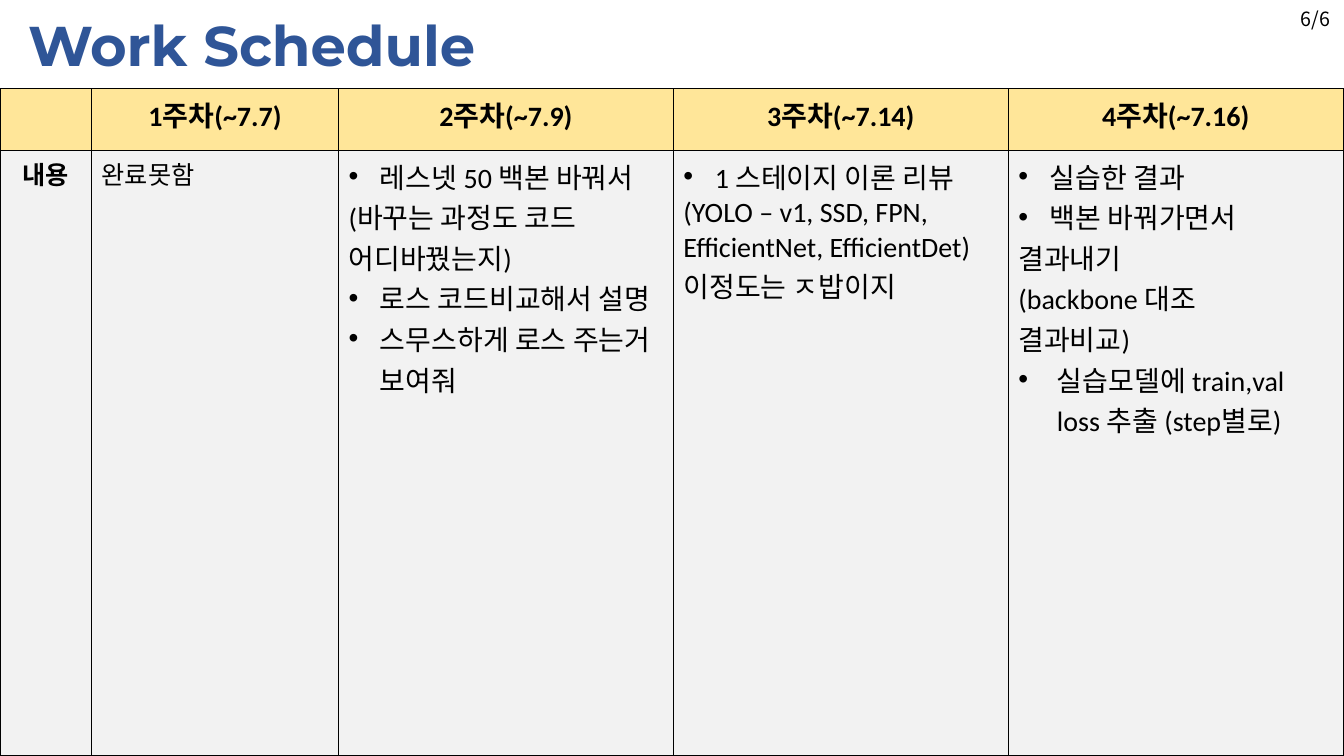
"""Build the work schedule slide with its weekly table."""
from lxml.etree import SubElement
from pptx import Presentation
from pptx.dml.color import RGBColor
from pptx.enum.text import MSO_ANCHOR as Anchor, MSO_AUTO_SIZE as Fit, PP_ALIGN as Align
from pptx.oxml.ns import qn
from pptx.util import Cm, Pt

TITLE = "Work Schedule"
PAGE = "6/6"
HEADS = ["", "1주차(~7.7)", "2주차(~7.9)", "3주차(~7.14)", "4주차(~7.16)"]
LABEL = "내용"
NEAR, FAR = 0.79, 0.97
WEEKS = [
    [("완료못함", 0)],
    [
        ("레스넷 50 백본 바꿔서", NEAR),
        ("(바꾸는 과정도 코드 어디바꿨는지)", 0),
        ("로스 코드비교해서 설명", NEAR),
        ("스무스하게 로스 주는거 보여줘", NEAR),
    ],
    [
        ("1 스테이지 이론 리뷰", NEAR),
        ("(YOLO – v1, SSD, FPN, EfficientNet, EfficientDet)", 0),
        ("이정도는 ㅈ밥이지", 0),
    ],
    [
        ("실습한 결과", NEAR),
        ("백본 바꿔가면서", NEAR),
        ("결과내기", 0),
        ("(backbone 대조", 0),
        ("결과비교)", 0),
        ("실습모델에 train,val loss 추출 (step별로)", FAR),
    ],
]
THEME = {
    "title": ("Montserrat", 40, "2F5597", True),
    "head": ("Calibri", 20, "000000", True),
    "label": ("Calibri", 18, "000000", True),
    "note": ("Calibri", 18, "000000", False),
    "body": ("Calibri", 20, "000000", False),
    "page": ("Noto Sans CJK KR", 14, "000000", False),
    "top": "FFE699",
    "base": "F2F2F2",
    "line": "000000",
}
WIDE, HIGH = 33.87, 19.05
COLS = [2.31, 6.22] + [8.44] * 3
ROWS = [1.55, 15.24]


def style(para, role, align=None):
    name, size, color, bold = THEME[role]
    para.alignment = align
    for run in para.runs:
        font = run.font
        font.name, font.size, font.bold = name, Pt(size), bold
        font.color.rgb = RGBColor.from_string(color)


def bullet(para, gap):
    props = para._p.get_or_add_pPr()
    props.set("marL", str(Cm(gap)))
    props.set("indent", str(-Cm(gap)))
    SubElement(props, qn("a:buFont"), typeface="Arial")
    SubElement(props, qn("a:buChar"), char="•")


def paint(cell, tone):
    props = cell._tc.get_or_add_tcPr()
    for side in "LRTB":
        edge = SubElement(props, qn("a:ln" + side), w=str(Pt(1)))
        fill = SubElement(edge, qn("a:solidFill"))
        SubElement(fill, qn("a:srgbClr"), val=THEME["line"])
    cell.fill.solid()
    cell.fill.fore_color.rgb = RGBColor.from_string(THEME[tone])


def write(cell, items, role, align=None):
    frame = cell.text_frame
    frame.text = "\n".join(text for text, gap in items)
    for para, (text, gap) in zip(frame.paragraphs, items):
        style(para, role, align)
        if gap:
            bullet(para, gap)


def label(slide, box, text, role, align=None):
    frame = slide.shapes.add_textbox(*map(Cm, box)).text_frame
    frame.word_wrap = True
    frame.text = text
    style(frame.paragraphs[0], role, align)
    return frame


deck = Presentation()
deck.slide_width, deck.slide_height = Cm(WIDE), Cm(HIGH)
slide = deck.slides.add_slide(deck.slide_layouts[6])

title = label(slide, (0.46, 0.13, WIDE, 1.96), TITLE, "title")
title.auto_size = Fit.SHAPE_TO_FIT_TEXT

grid = slide.shapes.add_table(
    len(ROWS), len(COLS), Cm(0), Cm(2.24), Cm(sum(COLS)), Cm(sum(ROWS))
).table
for col, width in zip(grid.columns, COLS):
    col.width = Cm(width)
for row, height, tone in zip(grid.rows, ROWS, ("top", "base")):
    row.height = Cm(height)
    for cell in row.cells:
        paint(cell, tone)
for col, head in enumerate(HEADS):
    write(grid.cell(0, col), [(head, 0)], "head", Align.CENTER)
write(grid.cell(1, 0), [(LABEL, 0)], "label", Align.CENTER)
for col, items in enumerate(WEEKS, 1):
    write(grid.cell(1, col), items, "note" if col == 1 else "body")

page = label(slide, (32.44, 0, 1.42, 0.89), PAGE, "page", Align.CENTER)
page.vertical_anchor = Anchor.BOTTOM
page.margin_left = page.margin_right = 0
page.paragraphs[0].line_spacing = 0.9

deck.save("out.pptx")
